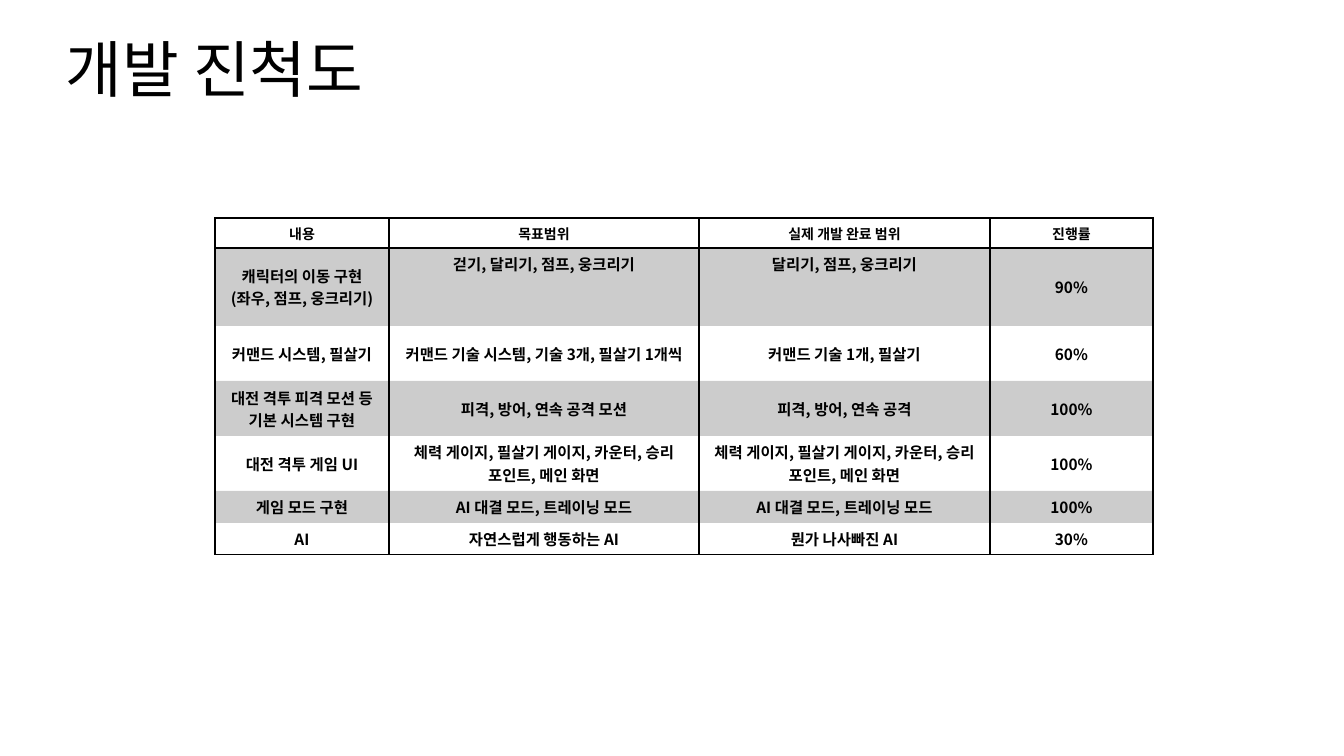
from dataclasses import dataclass

import lxml.etree
import pptx
import pptx.dml.color
import pptx.enum.text
import pptx.oxml.ns
import pptx.util

EMU_PER_PX = 914400 / 100.8
BLACK = pptx.dml.color.RGBColor(0, 0, 0)
FONT = "Noto Sans CJK KR"
TOP = pptx.enum.text.MSO_ANCHOR.TOP
MIDDLE = pptx.enum.text.MSO_ANCHOR.MIDDLE
BAND_OPACITY = 20
BORDER_SIDES = ("L", "R", "T", "B")


@dataclass(frozen=True)
class ProgressRow:
    height: int
    cells: tuple[str, str, str, str]
    shaded: bool = False
    sides: str = "LR"
    size: int = 11
    anchors: tuple = (MIDDLE,) * 4


COLUMN_WIDTHS = (174, 310, 291, 163)
ROWS = (
    ProgressRow(30, ("내용", "목표범위", "실제 개발 완료 범위", "진행률"),
                sides="LRTB", size=10, anchors=(TOP,) * 4),
    ProgressRow(78, ("캐릭터의 이동 구현(좌우, 점프, 웅크리기)", "걷기, 달리기, 점프, 웅크리기",
                     "달리기, 점프, 웅크리기", "90%"),
                shaded=True, sides="LRT", anchors=(MIDDLE, TOP, TOP, MIDDLE)),
    ProgressRow(55, ("커맨드 시스템, 필살기", "커맨드 기술 시스템, 기술 3개, 필살기 1개씩",
                     "커맨드 기술 1개, 필살기", "60%")),
    ProgressRow(55, ("대전 격투 피격 모션 등 기본 시스템 구현", "피격, 방어, 연속 공격 모션",
                     "피격, 방어, 연속 공격", "100%"), shaded=True),
    ProgressRow(55, ("대전 격투 게임 UI",
                     "체력 게이지, 필살기 게이지, 카운터, 승리 포인트, 메인 화면",
                     "체력 게이지, 필살기 게이지, 카운터, 승리 포인트, 메인 화면", "100%")),
    ProgressRow(32, ("게임 모드 구현", "AI 대결 모드, 트레이닝 모드",
                     "AI 대결 모드, 트레이닝 모드", "100%"), shaded=True),
    ProgressRow(32, ("AI", "자연스럽게 행동하는 AI", "뭔가 나사빠진 AI", "30%"), sides="LRB"),
)


def px(length: int) -> pptx.util.Emu:
    return pptx.util.Emu(round(length * EMU_PER_PX))


def add_child(parent, tag: str, **attributes: str):
    child = lxml.etree.SubElement(parent, pptx.oxml.ns.qn(tag))
    for name, value in attributes.items():
        child.set(name, value)
    return child


def write_text(para, text: str, size: int, bold: bool = False) -> None:
    """Add one run, with the same font for Latin and Korean letters."""
    span = para.add_run()
    span.text = text
    font_format = {"name": FONT, "size": pptx.util.Pt(size), "bold": bold}
    for name, value in font_format.items():
        setattr(span.font, name, value)
    span.font.color.rgb = BLACK
    add_child(span.font._element, "a:ea", typeface=FONT)


def set_borders(cell, sides: str) -> None:
    """Draw the named sides of a cell and clear the others."""
    properties = cell._tc.get_or_add_tcPr()
    for side in BORDER_SIDES:
        line = add_child(properties, f"a:ln{side}", w=str(pptx.util.Pt(1)))
        if side in sides:
            add_child(add_child(line, "a:solidFill"), "a:srgbClr", val=str(BLACK))
        else:
            add_child(line, "a:noFill")


def fill_cell(cell, shaded: bool) -> None:
    if not shaded:
        cell.fill.background()
        return
    cell.fill.solid()
    cell.fill.fore_color.rgb = BLACK
    color = cell._tc.tcPr.find(pptx.oxml.ns.qn("a:solidFill"))[0]
    add_child(color, "a:alpha", val=str(BAND_OPACITY * 1000))


def add_title(page, text: str) -> None:
    box = page.shapes.add_textbox(px(56), px(0), px(1159), px(146))
    frame = box.text_frame
    frame.word_wrap = True
    frame.vertical_anchor = MIDDLE
    para = frame.paragraphs[0]
    para.line_spacing = 0.9
    write_text(para, text, 44)


def add_progress_table(page, left: int, top: int) -> None:
    height = sum(row.height for row in ROWS)
    table = page.shapes.add_table(len(ROWS), len(COLUMN_WIDTHS), px(left), px(top),
                                  px(sum(COLUMN_WIDTHS)), px(height)).table
    table.first_row = False
    table.horz_banding = False
    for column, width in zip(table.columns, COLUMN_WIDTHS):
        column.width = px(width)
    for table_row, row in zip(table.rows, ROWS):
        table_row.height = px(row.height)
        for cell, text, anchor in zip(table_row.cells, row.cells, row.anchors):
            cell.vertical_anchor = anchor
            para = cell.text_frame.paragraphs[0]
            para.alignment = pptx.enum.text.PP_ALIGN.CENTER
            write_text(para, text, row.size, bold=True)
            set_borders(cell, row.sides)
            fill_cell(cell, row.shaded)


def main() -> None:
    deck = pptx.Presentation()
    deck.slide_width, deck.slide_height = px(1344), px(756)
    page = deck.slides.add_slide(deck.slide_layouts[6])
    add_title(page, "개발 진척도")
    add_progress_table(page, 215, 218)
    deck.save("out.pptx")


if __name__ == "__main__":
    main()
